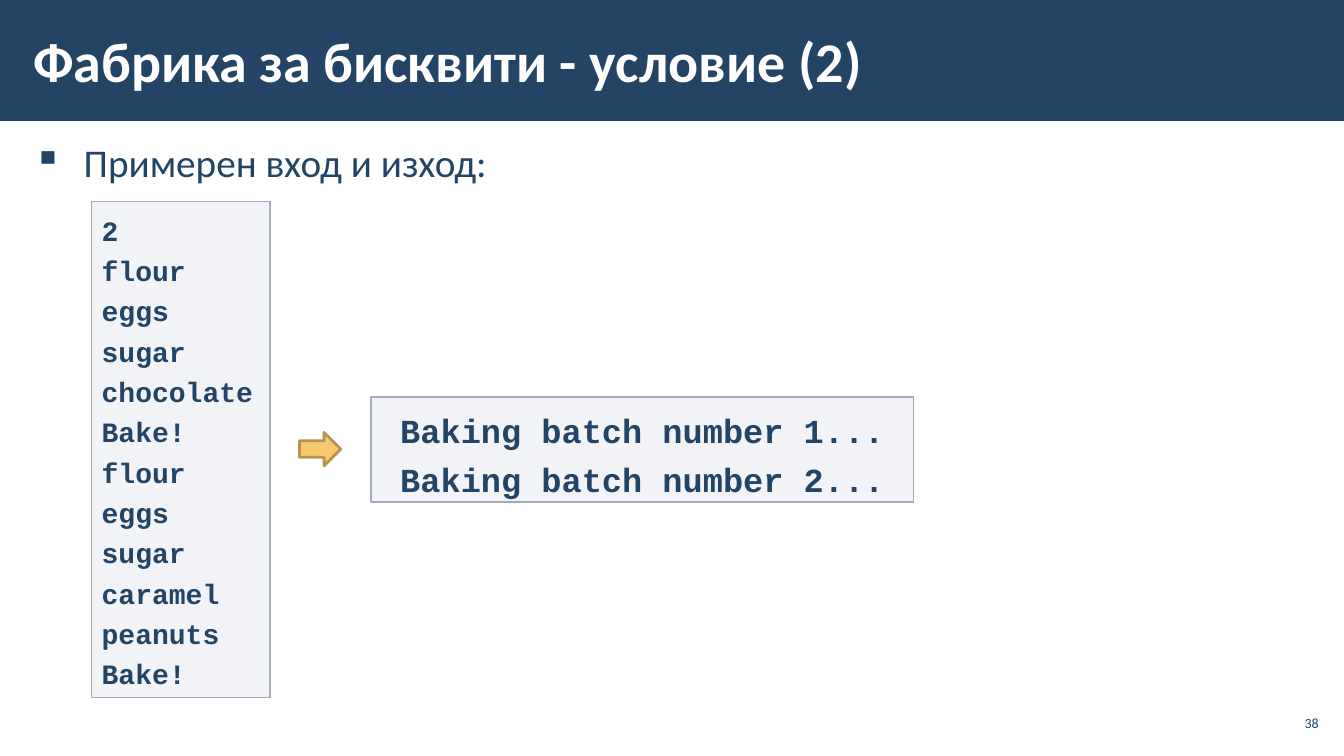
"""Build the biscuit factory task slide with sample input and output."""
from lxml import etree
from pptx import Presentation
from pptx import util as u
from pptx.dml.color import RGBColor
from pptx.enum import shapes, text
from pptx.oxml import ns

HUES = {"navy": "234465", "white": "FFFFFF", "box": "C2C7D2",
        "edge": "A3ABBC", "gold": "F7C86D", "rim": "B79451"}
SIZE = WIDE, HIGH = 13.33, 7.5
TITLE = ["Фабрика за бисквити - условие (2)"]
LEAD = ["Примерен вход и изход:"]
BASE = ["flour", "eggs", "sugar"]
INPUT = ["2", *BASE, "chocolate", "Bake!", *BASE, "caramel", "peanuts", "Bake!"]
OUTPUT = [f"Baking batch number {n}..." for n in (1, 2)]
PAGE = ["38"]

BAR = 1.2
LEFT, SPAN = 0.21, 12.92
TOP, TALL = 2, 4.92
MID = TOP + TALL / 2
PAD = (0.12, 0.04)
CODE = {"face": "Courier New", "bold": True, "lead": 1.2}
LOOK = {"fill": "box", "line": "edge", "alpha": 20}


def tint(hue):
    return RGBColor.from_string(HUES[hue])


def draw(kind, at, fill, line=None, width=1, alpha=None):
    part = slide.shapes.add_shape(kind, *map(u.Inches, at))
    part.shadow.inherit = False
    part.fill.solid()
    part.fill.fore_color.rgb = tint(fill)
    if alpha:
        tone = part.fill._xPr.find(".//" + ns.qn("a:srgbClr"))
        etree.SubElement(tone, ns.qn("a:alpha")).set("val", str(alpha * 1000))
    if line:
        part.line.color.rgb = tint(line)
        part.line.width = u.Pt(width)
    else:
        part.line.fill.background()
    return part


def area(at):
    return slide.shapes.add_textbox(*map(u.Inches, at))


def write(part, lines, size, hue="navy", face="Calibri", bold=False, lead=1,
          side="LEFT", hold="TOP", pad=(0.1, 0.05), gap=0, mark=None):
    frame = part.text_frame
    frame.word_wrap = True
    frame.vertical_anchor = text.MSO_ANCHOR[hold]
    frame.margin_left = frame.margin_right = u.Inches(pad[0])
    frame.margin_top = frame.margin_bottom = u.Inches(pad[1])
    for n, line in enumerate(lines):
        para = frame.add_paragraph() if n else frame.paragraphs[0]
        para.alignment = text.PP_ALIGN[side]
        para.line_spacing = lead
        para.space_before = para.space_after = u.Pt(gap)
        run = para.add_run()
        run.text = line
        font = run.font
        font.name, font.size, font.bold = face, u.Pt(size), bold
        font.color.rgb = tint(hue)
        if mark:
            props = para._p.get_or_add_pPr()
            props.set("marL", str(u.Inches(0.5)))
            props.set("indent", str(u.Inches(-0.5)))
            etree.SubElement(props, ns.qn("a:buChar")).set("char", mark)


deck = Presentation()
deck.slide_width, deck.slide_height = map(u.Inches, SIZE)
slide = deck.slides.add_slide(deck.slide_layouts[6])
rect, arrow = shapes.MSO_SHAPE.RECTANGLE, shapes.MSO_SHAPE.RIGHT_ARROW

draw(rect, (0, 0, WIDE, BAR), "navy")
write(area((LEFT, 0.11, 10.39, 0.97)), TITLE, 40, hue="white", bold=True,
      hold="MIDDLE", pad=PAD)
write(area((LEFT, 1.31, SPAN, 5.69)), LEAD, 28, lead=1.05, pad=PAD, gap=6, mark="▪")
write(area((12.65, 7, 0.47, 0.34)), PAGE, 10, side="RIGHT", hold="MIDDLE",
      pad=(0.04, 0.04))

write(draw(rect, (0.91, TOP, 1.77, TALL), **LOOK), INPUT, 20, **CODE)
draw(arrow, (2.97, MID - 0.17, 0.41, 0.33), "gold", "rim", 2)
write(draw(rect, (3.68, MID - 0.52, 5.38, 1.04), **LOOK), OUTPUT, 24,
      side="CENTER", **CODE)

deck.save("out.pptx")
